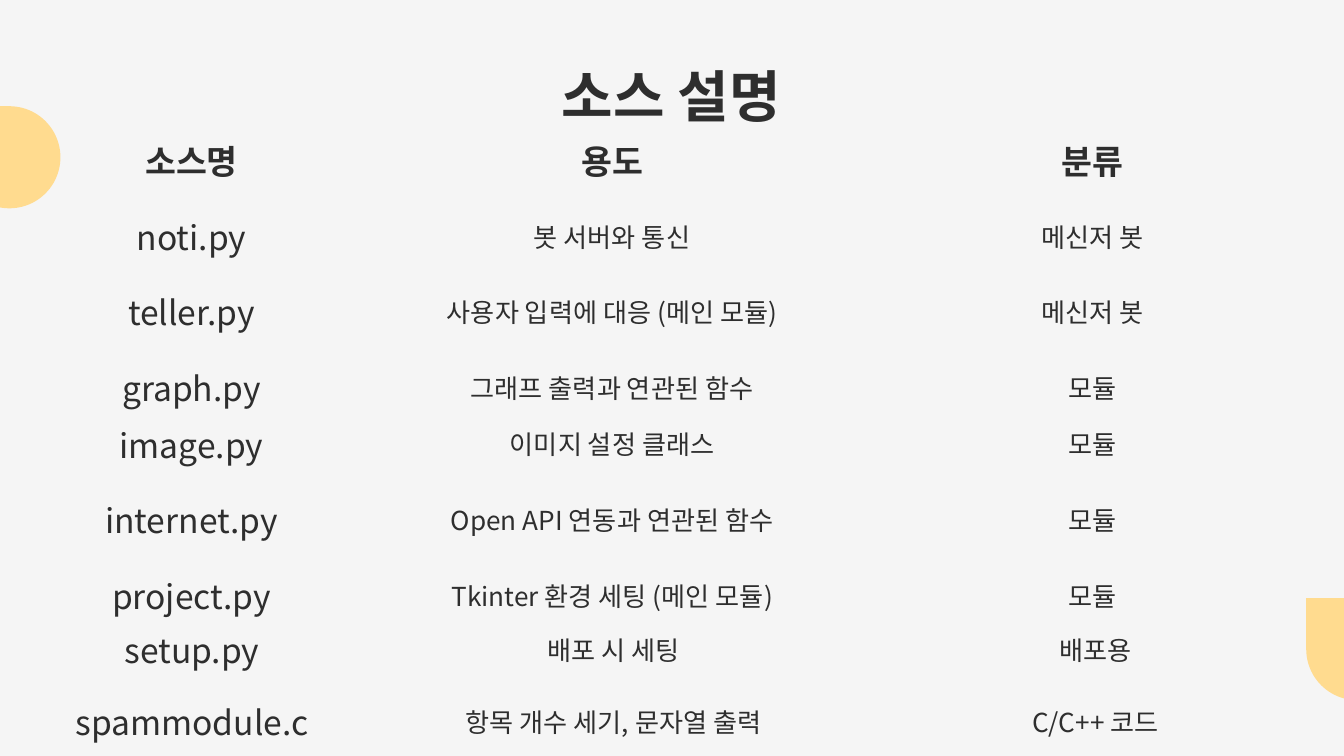
from dataclasses import dataclass

from lxml import etree
from pptx import Presentation
from pptx.dml.color import RGBColor
from pptx.enum import shapes, text
from pptx.oxml import ns
from pptx.util import Pt


@dataclass(frozen=True)
class Theme:
    font: str = "Noto Sans CJK KR"
    ink: RGBColor = RGBColor(0x2E, 0x2E, 0x2E)
    paper: RGBColor = RGBColor(0xF5, 0xF5, 0xF5)
    accent: RGBColor = RGBColor(0xFF, 0xDB, 0x8F)
    title_size: float = 30
    name_size: float = 18
    detail_size: float = 14
    inset: float = 7.2
    row_height: float = 40.5
    no_grid_style: str = "{2D5ABB26-0587-4C30-8999-92F81FD0307C}"


@dataclass(frozen=True)
class Drop:
    left: float
    top: float
    size: float = 54.7


@dataclass(frozen=True)
class SourceTable:
    top: float
    widths: tuple[float, ...]
    rows: tuple[tuple[str, ...], ...]
    has_header: bool = False
    blank_height: float = 0


THEME = Theme()
NARROW = (205.2, 245.5, 269.3)
WIDE = (205.7, 246, 270.5)
DROPS = (Drop(-22.3, 56.9), Drop(699.8, 320.4))
TABLES = (
    SourceTable(65.5, NARROW, (
        ("소스명", "용도", "분류"),
        ("noti.py", "봇 서버와 통신", "메신저 봇"),
        ("teller.py", "사용자 입력에 대응 (메인 모듈)", "메신저 봇"),
        ("graph.py", "그래프 출력과 연관된 함수", "모듈"),
    ), has_header=True),
    SourceTable(176.4, NARROW, (
        ("image.py", "이미지 설정 클래스", "모듈"),
        ("internet.py", "Open API 연동과 연관된 함수", "모듈"),
        ("project.py", "Tkinter 환경 세팅 (메인 모듈)", "모듈"),
    ), blank_height=41),
    SourceTable(286.6, WIDE, (("setup.py", "배포 시 세팅", "배포용"),), blank_height=41),
    SourceTable(325.4, WIDE, (("spammodule.c", "항목 개수 세기, 문자열 출력", "C/C++ 코드"),),
                blank_height=40.5),
)


def style_paragraph(para, size: float, bold: bool) -> None:
    para.alignment = text.PP_ALIGN.CENTER
    font = para.font
    font.name = THEME.font
    font.size = Pt(size)
    font.bold = bold
    font.color.rgb = THEME.ink
    defaults = para._p.pPr.find(ns.qn("a:defRPr"))
    etree.SubElement(defaults, ns.qn("a:ea"), typeface=THEME.font)


def set_insets(holder) -> None:
    holder.margin_left = holder.margin_right = Pt(THEME.inset)
    holder.margin_top = holder.margin_bottom = Pt(THEME.inset)


def draw_drop(page, drop: Drop) -> None:
    shape = page.shapes.add_shape(
        shapes.MSO_SHAPE.TEAR, Pt(drop.left), Pt(drop.top), Pt(drop.size), Pt(drop.size))
    shape.rotation = 270
    shape.shadow.inherit = False
    shape.fill.solid()
    shape.fill.fore_color.rgb = THEME.accent
    shape.line.fill.background()


def draw_title(page, wording: str) -> None:
    box = page.shapes.title
    box.left, box.top, box.width, box.height = Pt(107.3), Pt(25.9), Pt(504.7), Pt(49.7)
    frame = box.text_frame
    frame.text = wording
    frame.word_wrap = True
    frame.auto_size = text.MSO_AUTO_SIZE.NONE
    frame.vertical_anchor = text.MSO_ANCHOR.MIDDLE
    set_insets(frame)
    style_paragraph(frame.paragraphs[0], THEME.title_size, True)


def draw_table(page, source: SourceTable) -> None:
    heights = [THEME.row_height] * len(source.rows)
    rows = list(source.rows)
    if source.blank_height:
        heights.insert(0, source.blank_height)
        rows.insert(0, ("",) * len(source.widths))
    table = page.shapes.add_table(
        len(rows), len(source.widths), Pt(0), Pt(source.top),
        Pt(sum(source.widths)), Pt(sum(heights))).table
    table.first_row = source.has_header
    table.horz_banding = False
    table._tbl.tblPr.find(ns.qn("a:tableStyleId")).text = THEME.no_grid_style
    for column, width in zip(table.columns, source.widths):
        column.width = Pt(width)
    for row_index, (height, words) in enumerate(zip(heights, rows)):
        table.rows[row_index].height = Pt(height)
        header = source.has_header and row_index == 0
        for column_index, wording in enumerate(words):
            cell = table.cell(row_index, column_index)
            cell.fill.background()
            if not wording:
                continue
            cell.text = wording
            cell.vertical_anchor = text.MSO_ANCHOR.MIDDLE
            set_insets(cell)
            large = header or column_index == 0
            size = THEME.name_size if large else THEME.detail_size
            style_paragraph(cell.text_frame.paragraphs[0], size, header)


def main() -> None:
    deck = Presentation()
    deck.slide_width, deck.slide_height = Pt(720), Pt(405)
    page = deck.slides.add_slide(deck.slide_layouts[5])
    page.background.fill.solid()
    page.background.fill.fore_color.rgb = THEME.paper
    for drop in DROPS:
        draw_drop(page, drop)
    draw_title(page, "소스 설명")
    for source in TABLES:
        draw_table(page, source)
    deck.save("out.pptx")


if __name__ == "__main__":
    main()
